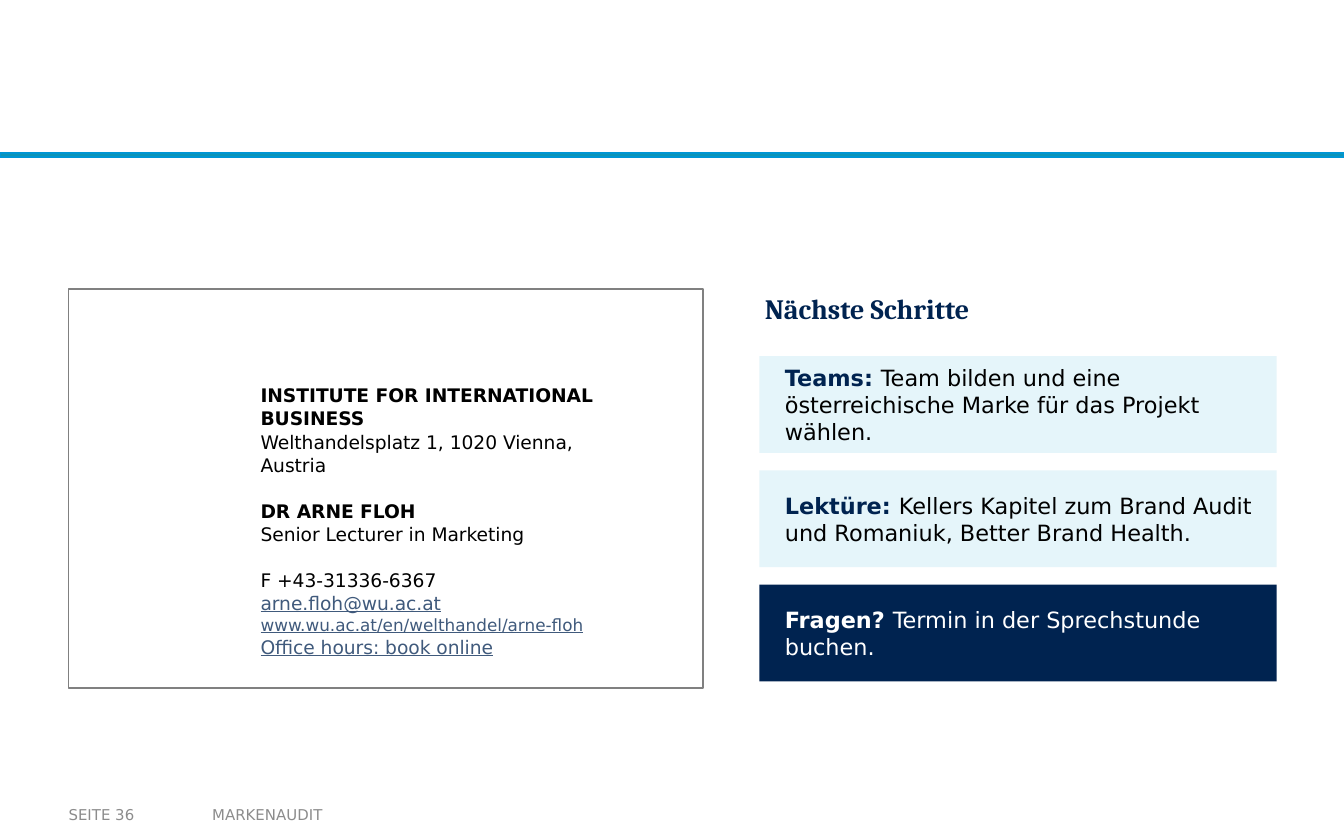
from typing import NamedTuple, Optional

from pptx import Presentation
from pptx.dml.color import RGBColor
from pptx.enum.shapes import MSO_SHAPE as Preset
from pptx.enum.text import MSO_ANCHOR as Anchor
from pptx.slide import Slide
from pptx.util import Inches, Pt

BLACK = RGBColor(0x00, 0x00, 0x00)
WHITE = RGBColor(0xFF, 0xFF, 0xFF)
NAVY = RGBColor(0x00, 0x23, 0x50)
PALE_BLUE = RGBColor(0xE5, 0xF5, 0xFA)
BAND_FILL = RGBColor(0x0C, 0x94, 0xB7)
BAND_LINE = RGBColor(0x00, 0x96, 0xD3)
LINK = RGBColor(0x40, 0x5A, 0x7C)
FRAME_GRAY = RGBColor(0x80, 0x80, 0x80)
FOOTER_GRAY = RGBColor(0x8C, 0x8C, 0x8C)

HEADING_FONT = "Cambria"
BODY_FONT = "DejaVu Sans"


class Box(NamedTuple):
    left: float
    top: float
    width: float
    height: float


class Run(NamedTuple):
    text: str
    color: RGBColor = BLACK
    size: float = 10
    bold: bool = False
    underline: bool = False
    font: str = BODY_FONT


class Line(NamedTuple):
    runs: list[Run]
    space_before: float = 0


class Step(NamedTuple):
    label: str
    text: str
    fill: RGBColor = PALE_BLUE
    label_color: RGBColor = NAVY
    text_color: RGBColor = BLACK


GROUP_GAP = 12.1
CONTACT = [
    Line([Run("INSTITUTE FOR INTERNATIONAL BUSINESS", bold=True)]),
    Line([Run("Welthandelsplatz 1, 1020 Vienna, Austria")]),
    Line([Run("DR ARNE FLOH", bold=True)], GROUP_GAP),
    Line([Run("Senior Lecturer in Marketing")]),
    Line([Run("F +43-31336-6367")], GROUP_GAP),
    Line([Run("arne.floh@wu.ac.at", LINK, underline=True)]),
    Line([Run("www.wu.ac.at/en/welthandel/arne-floh", LINK, 9, underline=True)]),
    Line([Run("Office hours: book online", LINK, underline=True)]),
]

STEPS = [
    Step("Teams: ", "Team bilden und eine österreichische Marke für das Projekt wählen."),
    Step("Lektüre: ", "Kellers Kapitel zum Brand Audit und Romaniuk, Better Brand Health."),
    Step("Fragen? ", "Termin in der Sprechstunde buchen.", NAVY, WHITE, WHITE),
]
STEP_LEFT, STEP_TOP, STEP_PITCH = 5.65, 2.65, 0.85
STEP_WIDTH, STEP_HEIGHT = 3.85, 0.72


def add_rectangle(slide: Slide, box: Box, fill: RGBColor,
                  line: Optional[RGBColor] = None) -> None:
    shape = slide.shapes.add_shape(Preset.RECTANGLE, *map(Inches, box))
    shape.shadow.inherit = False
    shape.fill.solid()
    shape.fill.fore_color.rgb = fill
    if line is None:
        shape.line.fill.background()
    else:
        shape.line.color.rgb = line
        shape.line.width = Pt(1)


def add_text(slide: Slide, box: Box, lines: list[Line], *,
             anchor: Anchor = Anchor.TOP, inset_x: float = 0.04,
             inset_y: float = 0.02, line_spacing: float = 1.0) -> None:
    frame = slide.shapes.add_textbox(*map(Inches, box)).text_frame
    frame.word_wrap = True
    frame.vertical_anchor = anchor
    frame.margin_left = frame.margin_right = Inches(inset_x)
    frame.margin_top = frame.margin_bottom = Inches(inset_y)
    for index, line in enumerate(lines):
        paragraph = frame.add_paragraph() if index else frame.paragraphs[0]
        paragraph.line_spacing = line_spacing
        paragraph.space_before = Pt(line.space_before)
        for part in line.runs:
            run = paragraph.add_run()
            run.text = part.text
            run.font.name = part.font
            run.font.size = Pt(part.size)
            run.font.bold = part.bold
            run.font.underline = part.underline
            run.font.color.rgb = part.color


def add_step(slide: Slide, step: Step, top: float) -> None:
    add_rectangle(slide, Box(STEP_LEFT, top, STEP_WIDTH, STEP_HEIGHT), step.fill)
    runs = [Run(step.label, step.label_color, 12, bold=True),
            Run(step.text, step.text_color, 12)]
    add_text(slide, Box(STEP_LEFT + 0.15, top, STEP_WIDTH - 0.25, STEP_HEIGHT),
             [Line(runs)], anchor=Anchor.MIDDLE)


def add_footer(slide: Slide, text: str, left: float, width: float,
               inset_x: float) -> None:
    add_text(slide, Box(left, 5.92, width, 0.28),
             [Line([Run(text, FOOTER_GRAY, 8)])],
             anchor=Anchor.MIDDLE, inset_x=inset_x, inset_y=0.05)


def main() -> None:
    presentation = Presentation()
    presentation.slide_width = Inches(10)
    presentation.slide_height = Inches(6.25)
    slide = presentation.slides.add_slide(presentation.slide_layouts[6])

    add_rectangle(slide, Box(0, 1.14, 10, 0.03), BAND_FILL, BAND_LINE)
    add_rectangle(slide, Box(0.51, 2.15, 4.72, 2.97), WHITE, FRAME_GRAY)
    add_text(slide, Box(1.84, 2.8, 3.02, 1.98), CONTACT,
             inset_x=0.1, inset_y=0.05, line_spacing=1.04)

    add_footer(slide, "MARKENAUDIT", 1.48, 3.52, 0.1)
    add_footer(slide, "SEITE 36", 0.51, 0.98, 0)

    heading = Run("Nächste Schritte", NAVY, 15, bold=True, font=HEADING_FONT)
    add_text(slide, Box(STEP_LEFT, 2.15, STEP_WIDTH, 0.4), [Line([heading])])
    for index, step in enumerate(STEPS):
        add_step(slide, step, STEP_TOP + index * STEP_PITCH)

    presentation.save("out.pptx")


if __name__ == "__main__":
    main()
